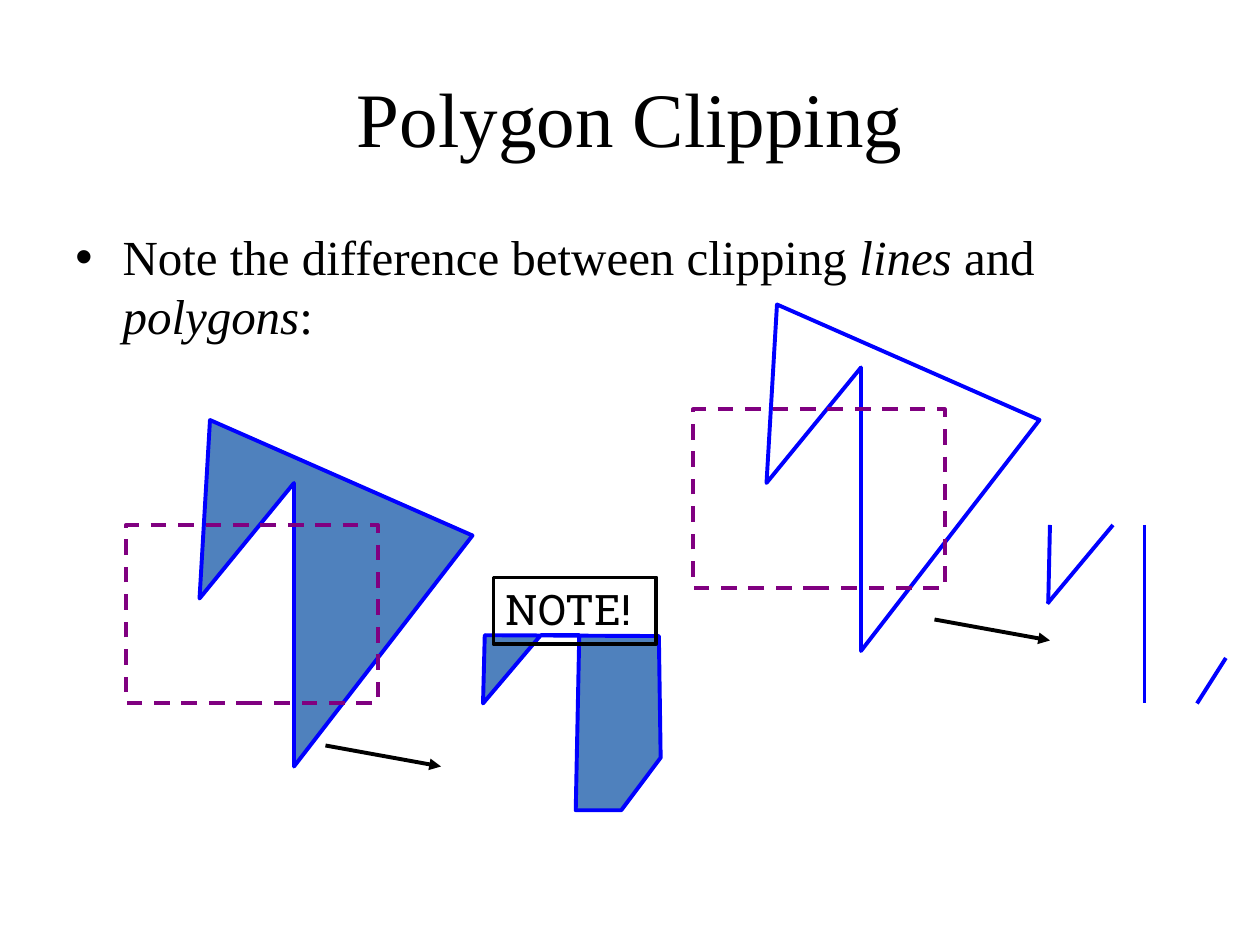
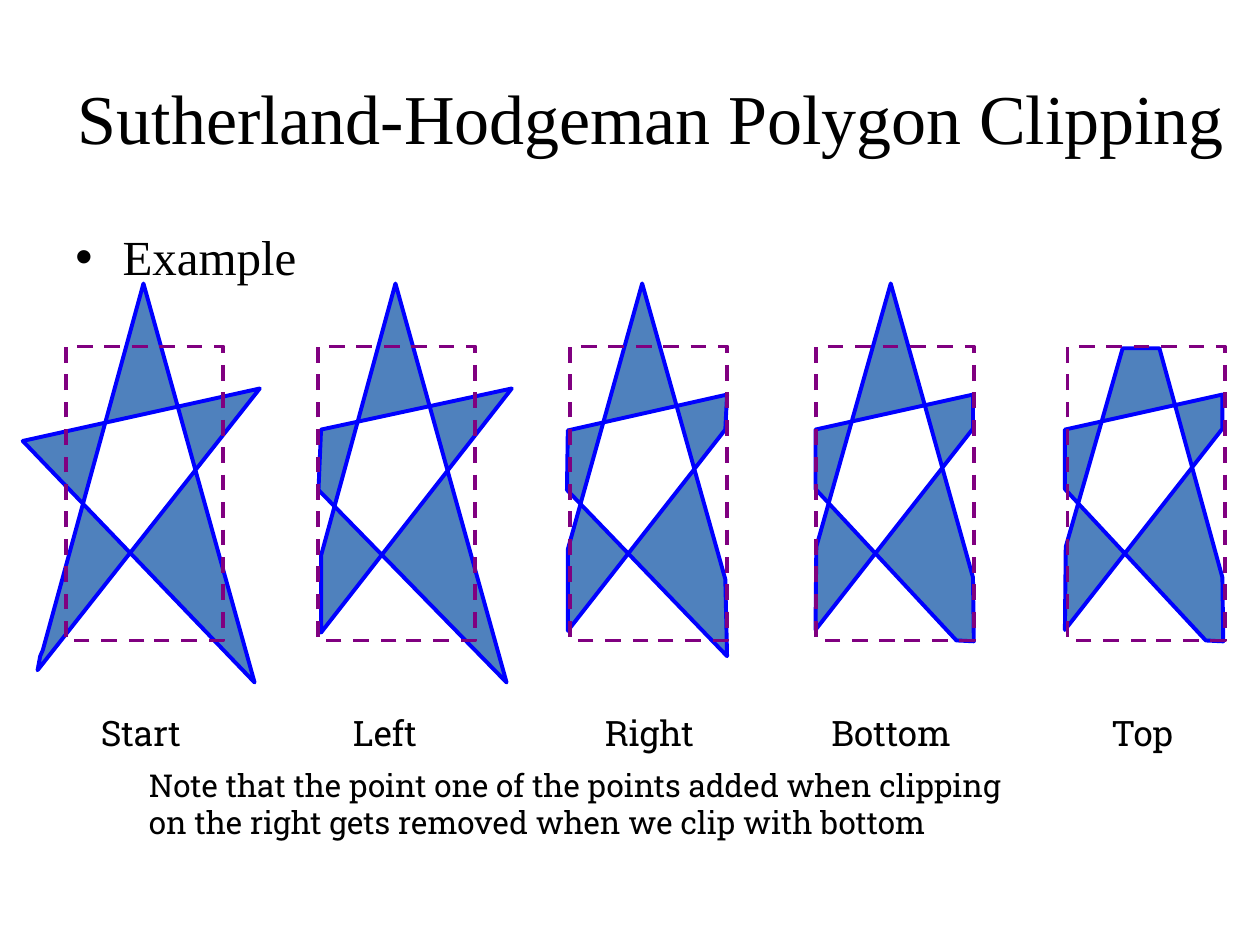
from lxml.etree import SubElement
from pptx import Presentation
from pptx.dml.color import RGBColor
from pptx.enum.dml import MSO_LINE
from pptx.enum.shapes import MSO_CONNECTOR, MSO_SHAPE
from pptx.enum.text import MSO_ANCHOR, MSO_AUTO_SIZE, PP_ALIGN
from pptx.oxml.ns import qn
from pptx.util import Pt

HUES = {"ink": "000000", "fill": "4F81BD", "edge": "0000FF", "clip": "800080"}
SERIF, SLAB = "Times New Roman", "Roboto Slab"


def hue(name):
    return RGBColor.from_string(HUES[name])


def put(frame, text, size=20, face=SLAB, align=PP_ALIGN.LEFT,
        anchor=MSO_ANCHOR.TOP, wrap=False, bullet=False):
    """Fill a text frame; newlines part paragraphs, *stars* mark italics."""
    frame.word_wrap = wrap
    frame.auto_size = MSO_AUTO_SIZE.NONE
    frame.vertical_anchor = anchor
    for i, line in enumerate(text.split("\n")):
        para = frame.add_paragraph() if i else frame.paragraphs[0]
        para.alignment = align
        if bullet:
            props = para._p.get_or_add_pPr()
            props.set("marL", str(Pt(27)))
            props.set("indent", str(-Pt(27)))
            SubElement(props, qn("a:buFont"), typeface="Arial")
            SubElement(props, qn("a:buChar"), char="•")
        para.font.size = Pt(size)
        for j, part in enumerate(line.split("*")):
            if part:
                run = para.add_run()
                run.text = part
                run.font.size = Pt(size)
                run.font.name = face
                run.font.italic = j % 2 == 1
                run.font.color.rgb = hue("ink")


class Deck:
    def __init__(self):
        self.file = Presentation()
        self.file.slide_width, self.file.slide_height = Pt(720), Pt(540)

    def page(self, title, point, size=44, width=648):
        """Start a slide with a title and one bullet point."""
        slide = self.file.slides.add_slide(self.file.slide_layouts[5])
        self.shapes = slide.shapes
        head = self.shapes.title
        head.left, head.top = Pt(36), Pt(21.6)
        head.width, head.height = Pt(width), Pt(90)
        put(head.text_frame, title, size=size, face=SERIF, wrap=True,
            align=PP_ALIGN.CENTER, anchor=MSO_ANCHOR.MIDDLE)
        self.text(point, 36, 126, 648, 356, size=28, face=SERIF,
                  wrap=True, bullet=True)

    def text(self, text, x, y, w, h, **style):
        box = self.shapes.add_textbox(Pt(x), Pt(y), Pt(w), Pt(h))
        put(box.text_frame, text, **style)

    def paint(self, shape, edge, fill=None):
        shape.shadow.inherit = False
        if fill:
            shape.fill.solid()
            shape.fill.fore_color.rgb = hue(fill)
        else:
            shape.fill.background()
        self.stroke(shape, edge)

    def stroke(self, shape, edge):
        shape.line.color.rgb = hue(edge)
        shape.line.width = Pt(2.25)

    def shape(self, dots, fill="fill"):
        """Draw a closed outline through the dots."""
        first, *rest = [(Pt(x), Pt(y)) for x, y in dots]
        path = self.shapes.build_freeform(*first)
        path.add_line_segments(rest, close=True)
        self.paint(path.convert_to_shape(), "edge", fill)

    def frame(self, x, y, w, h, edge="clip", dash=True):
        box = self.shapes.add_shape(MSO_SHAPE.RECTANGLE,
                                    Pt(x), Pt(y), Pt(w), Pt(h))
        self.paint(box, edge)
        if dash:
            box.line.dash_style = MSO_LINE.DASH
        return box

    def line(self, start, end, edge="edge", arrow=False):
        link = self.shapes.add_connector(
            MSO_CONNECTOR.STRAIGHT, *(Pt(n) for n in (*start, *end)))
        self.stroke(link, edge)
        if arrow:
            SubElement(link.line._get_or_add_ln(), qn("a:tailEnd"),
                       type="triangle")
        SubElement(link._element.spPr, qn("a:effectLst"))


def compare(deck):
    deck.page("Polygon Clipping",
              "Note the difference between clipping *lines* and *polygons*:")
    fang = [(120, 240), (114, 342), (168, 276), (168, 438), (270, 306)]
    for dx, dy, fill in ((0, 0, "fill"), (324, -66, None)):
        deck.shape([(x + dx, y + dy) for x, y in fang], fill)
        deck.frame(72 + dx, 300 + dy, 144, 102)

    deck.shape([(277, 363), (276, 402), (309, 363), (331, 363), (329, 463),
                (355, 463), (377.5, 433), (376.5, 363.5)])
    for start, end in (((600, 300), (599, 345)), ((636, 300), (598.5, 345)),
                       ((654, 300), (654, 402)), ((700.5, 376), (684, 402))):
        deck.line(start, end)
    for x, y in ((534, 354), (186, 426)):
        deck.line((x, y), (x + 66, y + 12), "ink", arrow=True)
    note = deck.frame(282, 330, 93, 38, "ink", dash=False)
    put(note.text_frame, "NOTE!", size=24)


# Label, its left edge and width, left edge of the window, star outline
STEPS = [
    ("Start", 50.5, 63, 37.5,
     [(21.5, 383), (23, 375), (24.5, 371.5), (82, 162), (145.5, 390),
      (13, 252), (148.5, 222)]),
    ("Left", 194.5, 51, 181.5,
     [(183.5, 317.5), (226, 162), (289.5, 390), (182, 280), (183.5, 245.5),
      (292.5, 222), (183.5, 361.5)]),
    ("Right", 338.5, 66, 325.5,
     [(324.5, 314), (367, 162), (414.5, 331), (415.5, 375), (324, 280),
      (324.5, 246), (415.5, 225.5), (414.5, 245.5), (324.5, 360.5)]),
    ("Bottom", 468, 86, 466.5,
     [(466.5, 312.5), (509, 162), (556, 330), (556.5, 366.5), (546.5, 366),
      (466, 279.5), (466, 245.5), (556, 225.5), (556, 245), (466, 360)]),
    ("Top", 628, 50, 610,
     [(609, 312.5), (641.5, 199), (662.5, 199), (698.5, 330), (699, 366.5),
      (689, 366), (608.5, 279.5), (608.5, 245.5), (698.5, 225.5),
      (698.5, 245), (608.5, 360)]),
]


def example(deck):
    deck.page("Sutherland-Hodgeman Polygon Clipping", "Example",
              size=40, width=672)
    for label, left, width, edge, star in STEPS:
        deck.shape(star)
        deck.frame(edge, 198, 90, 168)
        deck.text(label, left, 403, width, 31)
    deck.text("Note that the point one of the points added when clipping\n"
              "on the right gets removed when we clip with bottom",
              78, 434, 527, 50, size=18)


def main():
    deck = Deck()
    compare(deck)
    example(deck)
    deck.file.save("out.pptx")


if __name__ == "__main__":
    main()
